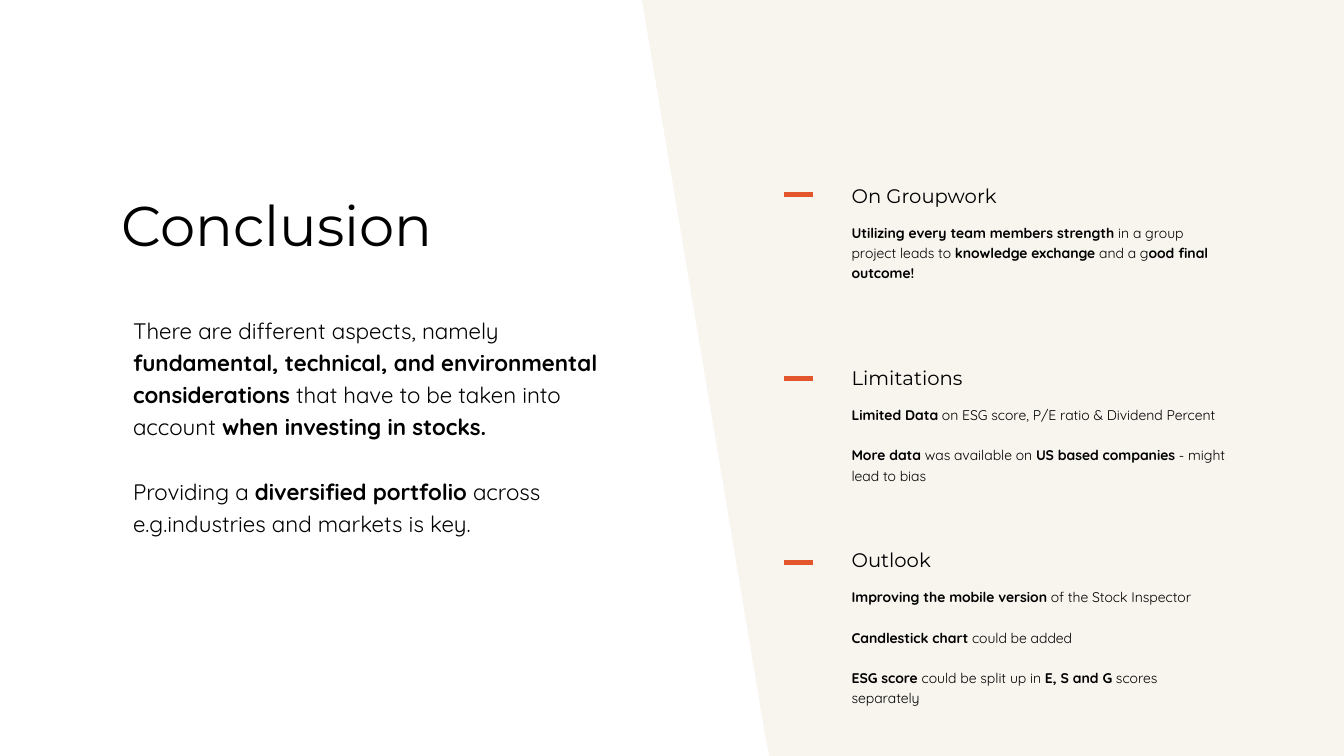
from lxml import etree
from pptx import Presentation
from pptx.dml.color import RGBColor
from pptx.enum.shapes import MSO_CONNECTOR
from pptx.enum.text import MSO_ANCHOR, MSO_AUTO_SIZE
from pptx.oxml.ns import qn
from pptx.util import Pt

STRAIGHT = MSO_CONNECTOR.STRAIGHT
TOP = MSO_ANCHOR.TOP
GROW = MSO_AUTO_SIZE.SHAPE_TO_FIT_TEXT

HEADING_FONT = "Montserrat"
BODY_FONT = "Quicksand"
BLACK = "000000"
ORANGE = "E3552D"
SAND = "EBDECD"

PANEL_OUTLINE = [(458.6, 0), (960, 0), (960, 540), (549.4, 540), (545.8, 520.6)]

SUMMARY = [
    [("There are different aspects, namely ", False),
     ("fundamental, technical, and environmental considerations", True),
     (" that have to be taken into account ", False),
     ("when investing in stocks.", True)],
    [("Providing a ", False),
     ("diversified portfolio", True),
     (" across e.g.industries and markets is key.", False)],
]

SECTIONS = [
    ("On Groupwork", 278, 64, [
        [("Utilizing every team members strength ", True),
         ("in a group project leads to ", False),
         ("knowledge exchange ", True),
         ("and a g", False),
         ("ood final outcome!", True)],
    ]),
    ("Limitations", 294.5, 64, [
        [("Limited Data", True),
         (" on ESG score, P/E ratio & Dividend Percent", False)],
        [("More data ", True),
         ("was available on ", False),
         ("US based companies", True),
         (" - might lead to bias", False)],
    ]),
    ("Outlook", 278, 98.6, [
        [("Improving the mobile version ", True),
         ("of the Stock Inspector", False)],
        [("Candlestick chart", True),
         (" could be added", False)],
        [("ESG score ", True),
         ("could be split up in ", False),
         ("E, S and G", True),
         (" scores separately", False)],
    ]),
]


def color(value):
    return RGBColor.from_string(value)


def add_panel(slide):
    points = [(Pt(x), Pt(y)) for x, y in PANEL_OUTLINE]
    builder = slide.shapes.build_freeform(*points[0])
    builder.add_line_segments(points[1:], close=True)
    shape = builder.convert_to_shape()
    shape.shadow.inherit = False
    shape.fill.solid()
    shape.fill.fore_color.rgb = color(SAND)
    shape.line.fill.background()
    fill_color = shape._element.spPr.find(qn("a:solidFill"))[0]
    etree.SubElement(fill_color, qn("a:alpha"), val="30000")


def add_text(slide, left, top, width, height, paragraphs, font, size, spacing, gap=0):
    shape = slide.shapes.add_textbox(Pt(left), Pt(top), Pt(width), Pt(height))
    frame = shape.text_frame
    frame.word_wrap = True
    frame.auto_size = GROW
    frame.vertical_anchor = TOP
    for index, runs in enumerate(paragraphs):
        paragraph = frame.add_paragraph() if index else frame.paragraphs[0]
        paragraph.line_spacing = spacing
        if index:
            paragraph.space_before = Pt(gap)
        for text, bold in runs:
            run = paragraph.add_run()
            run.text = text
            run.font.name = font
            run.font.size = Pt(size)
            run.font.bold = bold
            run.font.color.rgb = color(BLACK)


def add_heading(slide, left, top, width, height, text, size):
    add_text(slide, left, top, width, height, [[(text, False)]], HEADING_FONT, size, 0.9)


def add_body(slide, left, top, width, height, paragraphs, size):
    add_text(slide, left, top, width, height, paragraphs, BODY_FONT, size, 1.2, size * 1.45)


def add_dash(slide, left, top, length):
    connector = slide.shapes.add_connector(
        STRAIGHT, Pt(left), Pt(top), Pt(left + length), Pt(top))
    connector.line.color.rgb = color(ORANGE)
    connector.line.width = Pt(3)
    etree.SubElement(connector._element.spPr, qn("a:effectLst"))


def add_section(slide, index, heading, width, height, paragraphs):
    top = 129.5 + 130.2 * index
    add_dash(slide, 560.2, 139 + 131.4 * index, 20.8)
    add_heading(slide, 601.2, top, 199.4, 22.3, heading, 14)
    add_body(slide, 601.2, top + 24.7, width, height, paragraphs, 10)


def main():
    presentation = Presentation()
    presentation.slide_width = Pt(960)
    presentation.slide_height = Pt(540)
    slide = presentation.slides.add_slide(presentation.slide_layouts[6])
    add_panel(slide)
    add_heading(slide, 80, 138.2, 360, 138.2, "Conclusion", 40)
    add_body(slide, 88, 219, 360, 138.2, SUMMARY, 16)
    for index, section in enumerate(SECTIONS):
        add_section(slide, index, *section)
    presentation.save("out.pptx")


if __name__ == "__main__":
    main()
